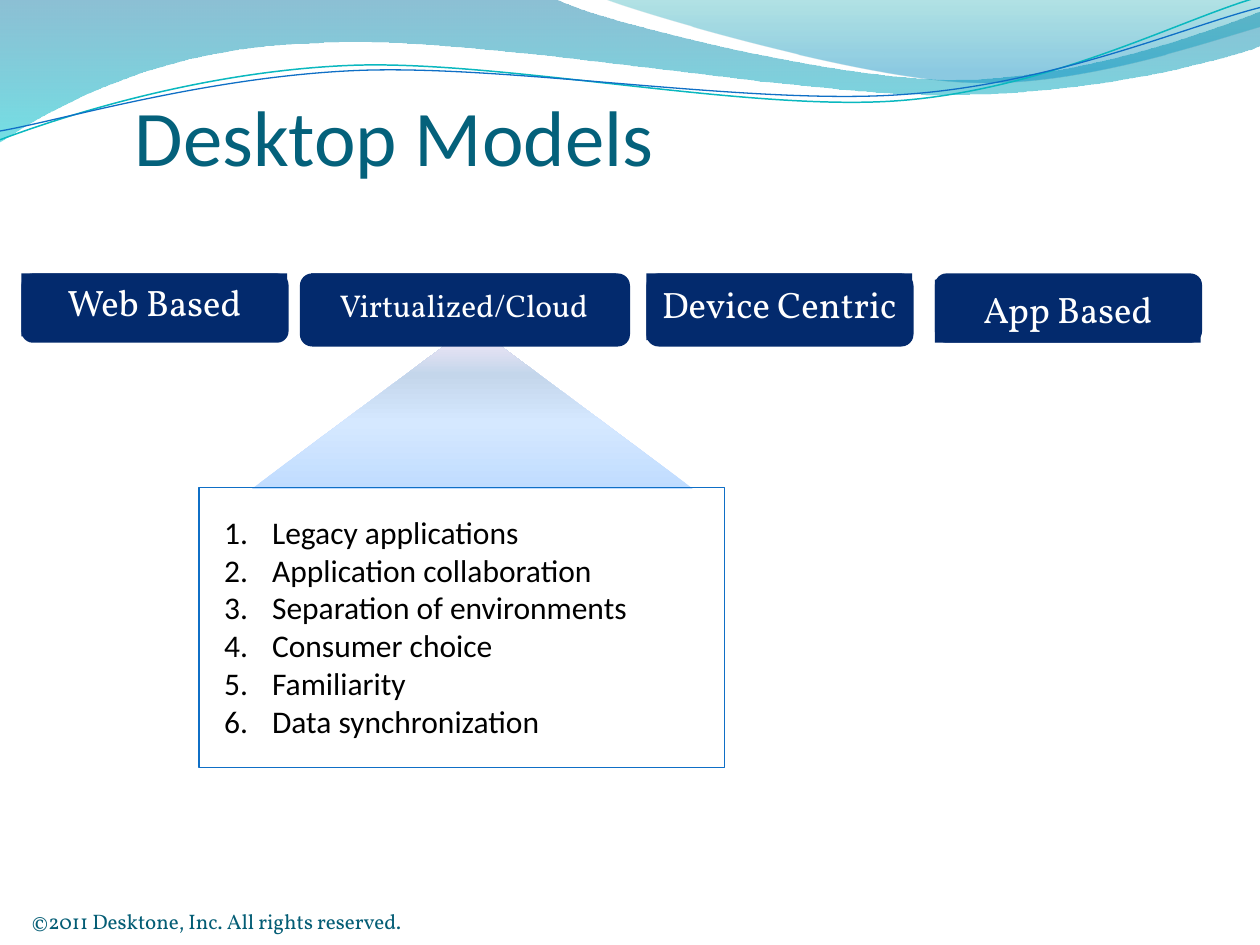
import pptx
import pptx.util
import pptx.dml.color
import pptx.enum.shapes
import pptx.enum.text
import pptx.oxml
import pptx.oxml.ns

Inches = pptx.util.Inches
Pt = pptx.util.Pt
KINDS = pptx.enum.shapes.MSO_SHAPE
ALIGN = pptx.enum.text.PP_ALIGN
ANCHOR = pptx.enum.text.MSO_ANCHOR
AUTO = pptx.enum.text.MSO_AUTO_SIZE
NS = pptx.oxml.ns.nsdecls("a")
qn = pptx.oxml.ns.qn

INK = {"title": "04617B", "foot": "045D75", "navy": "032A6D", "white": "FFFFFF",
       "black": "000000", "blue": "0F6FC6", "teal": "0AB8BF"}

WAVES = [
    ([(0, "0074A1", 45), (100, "00C6CF", 55)],
     [[(0, 0)], [(4.4, -0.01)],
      [(4.76, 0.17), (6.64, 0.63), (7.58, 0.63)],
      [(8.53, 0.63), (9.58, 0.26), (10, 0.09)], [(10.01, 0.36)],
      [(9.83, 0.44), (8.7, 0.76), (7.46, 0.75)],
      [(6.22, 0.75), (3.82, 0.28), (2.57, 0.34)],
      [(1.29, 0.36), (0.46, 0.83), (-0.01, 1.13)]]),
    ([(0, "00A1A9", 30), (80, "008BBF", 45)],
     [[(4.79, -0.01)],
      [(5.09, 0.11), (6.82, 0.62), (7.69, 0.65)],
      [(8.56, 0.69), (9.61, 0.32), (10, 0.21)], [(10, 0)]]),
]
CURVES = [
    ("teal", 0.85,
     [[(0, 1.11)],
      [(0.48, 0.93), (1.58, 0.57), (2.77, 0.52)],
      [(3.95, 0.47), (5.93, 0.89), (7.13, 0.8)],
      [(8.33, 0.71), (9.38, 0.15), (9.98, -0.02)]]),
    ("blue", 0.75,
     [[(0, 1.04)],
      [(0.47, 0.96), (1.64, 0.61), (2.83, 0.56)],
      [(4.03, 0.51), (5.97, 0.84), (7.17, 0.75)],
      [(8.36, 0.67), (9.41, 0.21), (10, 0.06)]]),
]
BEAM = [(0, "C0DCFF", 100), (40, "D5E8FF", 100), (70, "C4D6EB", 100), (100, "FFEBFA", 100)]
TABS = [
    ("Web Based", 21, (0.17, 2.17, 2.12, 0.55), (0, 0, 0.01, 0.05)),
    ("Virtualized/Cloud", 18, (2.38, 2.17, 2.62, 0.58), (0.09, 0, 0.2, 0.04)),
    ("Device Centric", 21, (5.13, 2.17, 2.12, 0.58), (0, 0, 0.01, 0.05)),
    ("App Based", 21, (7.42, 2.17, 2.12, 0.55), (0, 0.05, 0.01, 0.05)),
]
ITEMS = ["Legacy applications", "Application collaboration", "Separation of environments",
         "Consumer choice", "Familiarity", "Data synchronization"]


def put(thing, values):
    for name, value in values.items():
        setattr(thing, name, value)


def rgb(name):
    return pptx.dml.color.RGBColor.from_string(INK[name])


def style(para, face, size, ink):
    put(para.font, {"name": face, "size": Pt(size)})
    para.font.color.rgb = rgb(ink)


def frame(shape, inset, anchor):
    sides = ("margin_left", "margin_top", "margin_right", "margin_bottom")
    put(shape.text_frame, dict(zip(sides, map(Inches, inset))))
    put(shape.text_frame, {"vertical_anchor": anchor, "word_wrap": True, "auto_size": AUTO.NONE})
    return shape.text_frame


def block(shapes, kind, box, fill=None, line=None):
    shape = shapes.add_shape(kind, *map(Inches, box))
    shape.shadow.inherit = False
    if fill:
        shape.fill.solid()
        shape.fill.fore_color.rgb = rgb(fill)
    else:
        shape.fill.background()
    if line:
        shape.line.color.rgb = rgb(line)
        shape.line.width = Pt(0.75)
    else:
        shape.line.fill.background()
    return shape


def shade(shape, stops):
    marks = "".join(
        f'<a:gs pos="{pos * 1000}"><a:srgbClr val="{ink}"><a:alpha val="{alpha * 1000}"/>'
        f'</a:srgbClr></a:gs>' for pos, ink, alpha in stops)
    grad = pptx.oxml.parse_xml(
        f'<a:gradFill {NS} rotWithShape="1"><a:gsLst>{marks}</a:gsLst>'
        f'<a:lin ang="5400000" scaled="0"/></a:gradFill>')
    shape.fill.background()
    blank = shape._element.spPr.find(qn("a:noFill"))
    blank.getparent().replace(blank, grad)


def outline(shapes, parts, close):
    points = [(Inches(x), Inches(y)) for part in parts for x, y in part]
    pen = shapes.build_freeform(*points[0])
    pen.add_line_segments(points[1:], close=close)
    shape = pen.convert_to_shape()
    shape.shadow.inherit = False
    nodes = iter(list(shape._element.iter(qn("a:lnTo"))))
    for part in parts[1:]:
        group = [next(nodes) for point in part]
        if len(group) == 3:
            bend = pptx.oxml.parse_xml(f"<a:cubicBezTo {NS}/>")
            group[0].addprevious(bend)
            for node in group:
                bend.append(node[0])
                node.getparent().remove(node)
    return shape


def header(shapes):
    for stops, parts in WAVES:
        wave = outline(shapes, parts, True)
        shade(wave, stops)
        wave.line.fill.background()
    pair = shapes.add_group_shape().shapes
    for ink, width, parts in CURVES:
        curve = outline(pair, parts, False)
        curve.fill.background()
        curve.line.color.rgb = rgb(ink)
        curve.line.width = Pt(width)


def title(shape, box):
    put(shape, dict(zip(("left", "top", "width", "height"), map(Inches, box))))
    text = frame(shape, (0, 0.05, 0, 0), ANCHOR.TOP)
    text.text = "Desktop Models"
    text.paragraphs[0].alignment = ALIGN.LEFT
    style(text.paragraphs[0], "Calibri", 45, "title")


def footer(shapes, box):
    text = frame(shapes.add_textbox(*map(Inches, box)), (0, 0, 0, 0), ANCHOR.BOTTOM)
    text.text = "©2011 Desktone, Inc. All rights reserved."
    style(text.paragraphs[0], "Vollkorn", 12, "foot")


def beam(shapes, box):
    shape = block(shapes, KINDS.FLOWCHART_MERGE, box)
    shade(shape, BEAM)
    shape._element.spPr.xfrm.set("flipV", "1")


def tab(shapes, label, size, box, trim):
    left, top, width, height = box
    inset, drop, thin, short = trim
    group = shapes.add_group_shape().shapes
    block(group, KINDS.ROUNDED_RECTANGLE, box, "navy")
    inner = (left + inset, top + drop, width - thin, height - short)
    face = block(group, KINDS.RECTANGLE, inner, "navy")
    text = frame(face, [0.09] * 4, ANCHOR.MIDDLE)
    text.text = label
    put(text.paragraphs[0], {"alignment": ALIGN.CENTER, "line_spacing": 0.9})
    style(text.paragraphs[0], "Vollkorn", size, "white")


def panel(shapes, box):
    text = frame(block(shapes, KINDS.RECTANGLE, box, None, "blue"), (0.2, 0.2, 0.1, 0.2), ANCHOR.TOP)
    text.text = "\n".join(ITEMS)
    for para in text.paragraphs:
        props = para._p.get_or_add_pPr()
        props.set("marL", str(Inches(0.38)))
        props.set("indent", str(-Inches(0.38)))
        props.append(pptx.oxml.parse_xml(f'<a:buFont {NS} typeface="+mj-lt"/>'))
        props.append(pptx.oxml.parse_xml(f'<a:buAutoNum {NS} type="arabicPeriod"/>'))
        para.alignment = ALIGN.LEFT
        style(para, "Calibri", 18, "black")


def main():
    deck = pptx.Presentation()
    put(deck, {"slide_width": Inches(10), "slide_height": Inches(7.5)})
    slide = deck.slides.add_slide(deck.slide_layouts[5])
    shapes = slide.shapes
    header(shapes)
    beam(shapes, (2, 2.58, 3.5, 1.3))
    title(shapes.title, (1.07, 0.65, 4.69, 0.44))
    footer(shapes, (0.25, 7.08, 8.08, 0.33))
    for item in TABS:
        tab(shapes, *item)
    panel(shapes, (1.58, 3.87, 4.17, 2.22))
    deck.save("out.pptx")


if __name__ == "__main__":
    main()
